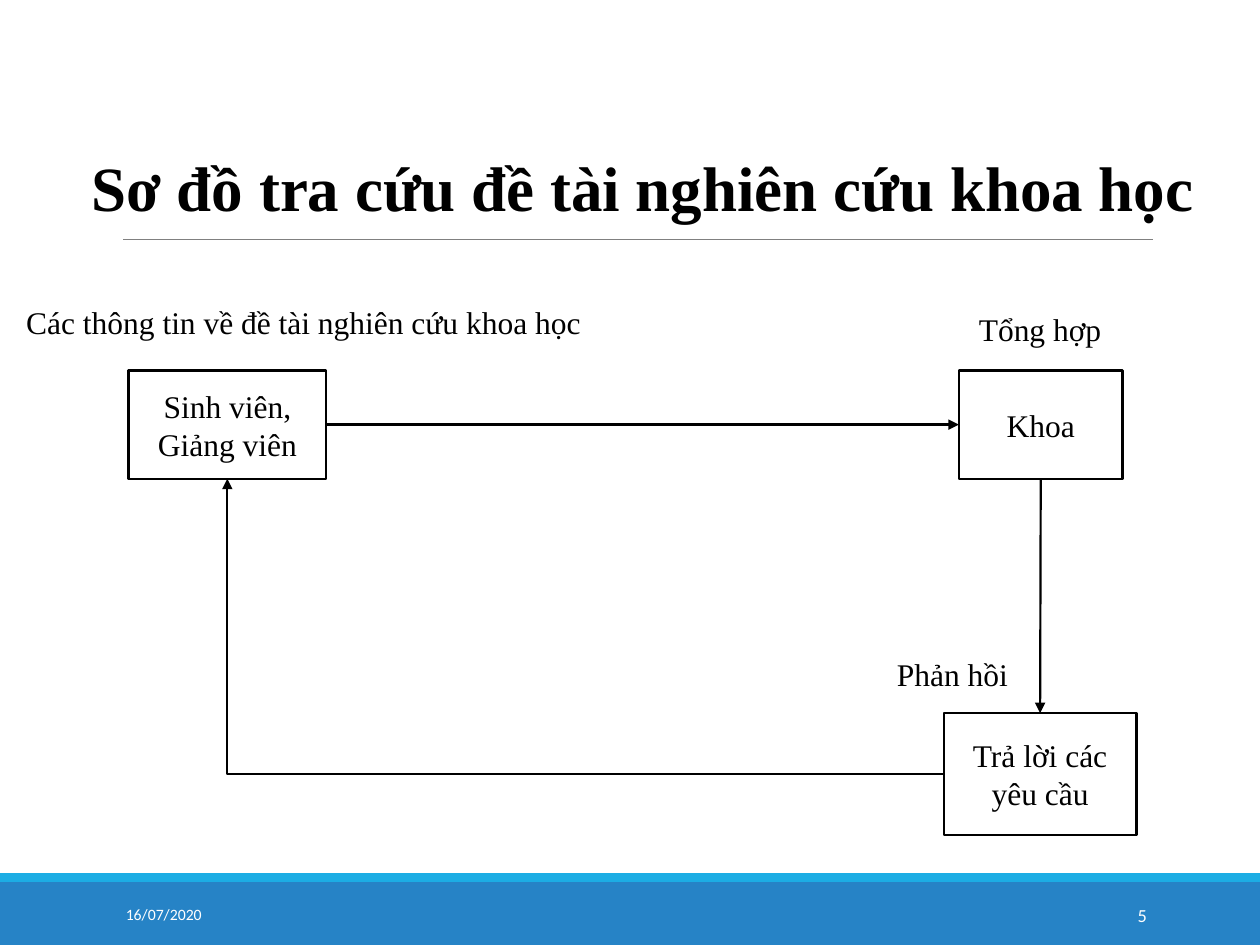
from dataclasses import dataclass

from lxml.etree import SubElement
from pptx import Presentation
from pptx.dml.color import RGBColor
from pptx.enum.shapes import MSO_CONNECTOR, MSO_SHAPE
from pptx.enum.text import MSO_ANCHOR, PP_ALIGN
from pptx.oxml.ns import qn
from pptx.shapes.autoshape import Shape
from pptx.shapes.connector import Connector
from pptx.slide import Slide
from pptx.util import Inches, Pt


@dataclass(frozen=True)
class Theme:
    ink: RGBColor = RGBColor(0, 0, 0)
    paper: RGBColor = RGBColor(255, 255, 255)
    rule: RGBColor = RGBColor(0x80, 0x80, 0x80)
    band: RGBColor = RGBColor(0x26, 0x83, 0xC6)
    stripe: RGBColor = RGBColor(0x1C, 0xAD, 0xE4)
    serif: str = "Times New Roman"
    sans: str = "Calibri"
    title_size: float = 36
    body_size: float = 18
    date_size: float = 9
    number_size: float = 10.5
    line_width: float = 1.25
    rule_width: float = 0.5


THEME = Theme()
TOP, LEFT, BOTTOM, RIGHT = range(4)


@dataclass(frozen=True)
class Area:
    left: float
    top: float
    width: float
    height: float

    def lengths(self) -> list[int]:
        return [Inches(value) for value in (self.left, self.top, self.width, self.height)]


@dataclass(frozen=True)
class Label:
    text: str
    area: Area
    size: float = THEME.body_size
    font: str = THEME.serif
    color: RGBColor = THEME.ink
    align: PP_ALIGN = PP_ALIGN.LEFT
    anchor: MSO_ANCHOR = MSO_ANCHOR.TOP
    wrap: bool = False
    bold: bool = False


def write(shape: Shape, label: Label) -> None:
    frame = shape.text_frame
    frame.word_wrap = label.wrap
    frame.vertical_anchor = label.anchor
    paragraph = frame.paragraphs[0]
    paragraph.alignment = label.align
    run = paragraph.add_run()
    run.text = label.text
    run.font.name = label.font
    run.font.size = Pt(label.size)
    run.font.bold = label.bold
    run.font.color.rgb = label.color


def add_label(slide: Slide, label: Label) -> None:
    write(slide.shapes.add_textbox(*label.area.lengths()), label)


def add_rectangle(slide: Slide, area: Area, fill: RGBColor) -> Shape:
    shape = slide.shapes.add_shape(MSO_SHAPE.RECTANGLE, *area.lengths())
    shape.shadow.inherit = False
    shape.fill.solid()
    shape.fill.fore_color.rgb = fill
    shape.line.fill.background()
    return shape


def add_box(slide: Slide, text: str, area: Area) -> Shape:
    shape = add_rectangle(slide, area, THEME.paper)
    shape.line.color.rgb = THEME.ink
    shape.line.width = Pt(THEME.line_width)
    write(shape, Label(text, area, align=PP_ALIGN.CENTER, anchor=MSO_ANCHOR.MIDDLE, wrap=True))
    return shape


def style_line(connector: Connector, color: RGBColor, width: float) -> None:
    connector.line.color.rgb = color
    connector.line.width = Pt(width)
    SubElement(connector._element.spPr, qn("a:effectLst"))


def add_arrow(slide: Slide, source: Shape, source_side: int, target: Shape,
              target_side: int, bent: bool = False) -> None:
    kind = MSO_CONNECTOR.ELBOW if bent else MSO_CONNECTOR.STRAIGHT
    connector = slide.shapes.add_connector(kind, 0, 0, 0, 0)
    connector.begin_connect(source, source_side)
    connector.end_connect(target, target_side)
    if bent:  # a single corner instead of two
        connector._element.spPr.find(qn("a:prstGeom")).set("prst", "bentConnector2")
    style_line(connector, THEME.ink, THEME.line_width)
    SubElement(connector.line._get_or_add_ln(), qn("a:tailEnd"), type="triangle")


def add_frame(slide: Slide) -> None:
    # Footer bands and the rule under the title
    add_rectangle(slide, Area(0, 7, 10, 0.5), THEME.band)
    add_rectangle(slide, Area(0, 6.93, 10, 0.07), THEME.stripe)
    rule = slide.shapes.add_connector(
        MSO_CONNECTOR.STRAIGHT, Inches(0.98), Inches(1.9), Inches(9.15), Inches(1.9))
    style_line(rule, THEME.rule, THEME.rule_width)

    # Date and slide number
    add_label(slide, Label("16/07/2020", Area(0.9, 7.06, 2.03, 0.4), THEME.date_size,
                           THEME.sans, THEME.paper, anchor=MSO_ANCHOR.MIDDLE, wrap=True))
    add_label(slide, Label("5", Area(8.12, 7.06, 1.08, 0.4), THEME.number_size, THEME.sans,
                           THEME.paper, PP_ALIGN.RIGHT, MSO_ANCHOR.MIDDLE, wrap=True))


def add_title(slide: Slide) -> None:
    label = Label("Sơ đồ tra cứu đề tài nghiên cứu khoa học", Area(0.58, 1.12, 9.04, 0.71),
                  THEME.title_size, align=PP_ALIGN.CENTER, anchor=MSO_ANCHOR.MIDDLE, bold=True)
    title = slide.shapes.title
    title.left, title.top, title.width, title.height = label.area.lengths()
    write(title, label)


def add_flow(slide: Slide) -> None:
    # Boxes
    people = add_box(slide, "Sinh viên, Giảng viên", Area(1.02, 2.94, 1.57, 0.86))
    faculty = add_box(slide, "Khoa", Area(7.61, 2.94, 1.3, 0.86))
    answer = add_box(slide, "Trả lời các yêu cầu", Area(7.49, 5.66, 1.53, 0.97))

    # Arrows
    add_arrow(slide, people, RIGHT, faculty, LEFT)
    add_arrow(slide, faculty, BOTTOM, answer, TOP)
    add_arrow(slide, answer, LEFT, people, BOTTOM, bent=True)

    # Captions
    add_label(slide, Label("Các thông tin về đề tài nghiên cứu khoa học",
                           Area(0.11, 2.36, 4.61, 0.4), align=PP_ALIGN.JUSTIFY, wrap=True))
    add_label(slide, Label("Phản hồi", Area(7.02, 5.15, 1.1, 0.4)))
    add_label(slide, Label("Tổng hợp", Area(7.67, 2.41, 1.18, 0.4)))


def main() -> None:
    presentation = Presentation()
    presentation.slide_width = Inches(10)
    presentation.slide_height = Inches(7.5)
    slide = presentation.slides.add_slide(presentation.slide_layouts.get_by_name("Title Only"))
    add_frame(slide)
    add_title(slide)
    add_flow(slide)
    presentation.save("out.pptx")


if __name__ == "__main__":
    main()
